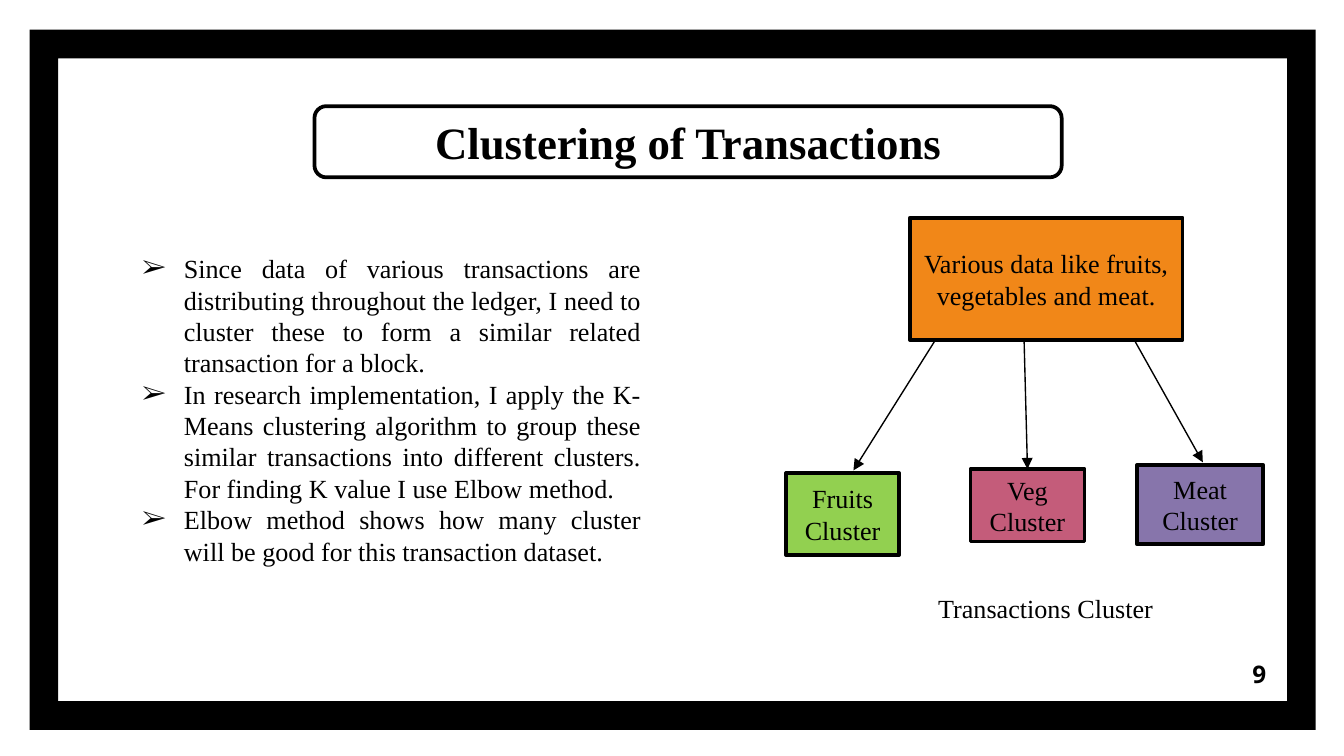
from dataclasses import dataclass

from lxml import etree
from pptx import Presentation
from pptx.dml.color import RGBColor
from pptx.enum.shapes import MSO_CONNECTOR, MSO_SHAPE
from pptx.enum.text import MSO_ANCHOR, PP_ALIGN
from pptx.oxml.ns import qn
from pptx.util import Inches, Pt

FRAME, RECT, ROUND = MSO_SHAPE.FRAME, MSO_SHAPE.RECTANGLE, MSO_SHAPE.ROUNDED_RECTANGLE
STRAIGHT = MSO_CONNECTOR.STRAIGHT
TOP, MIDDLE = MSO_ANCHOR.TOP, MSO_ANCHOR.MIDDLE
CENTER, RIGHT, JUSTIFY = PP_ALIGN.CENTER, PP_ALIGN.RIGHT, PP_ALIGN.JUSTIFY
TOP_SIDE = 0
WIDTH = 10
HEIGHT = WIDTH * 9 / 16


@dataclass(frozen=True)
class Theme:
    ink: str = "000000"
    source: str = "F18718"
    fruit: str = "92D050"
    veg: str = "C45C7A"
    meat: str = "8775AB"
    font: str = "Times New Roman"
    number_font: str = "Open Sans"
    title: int = 24
    body: int = 14
    number: int = 13
    border: float = 2
    arrow: float = 0.75


@dataclass(frozen=True)
class Box:
    left: float
    top: float
    width: float
    height: float

    def place(self) -> tuple:
        return tuple(Inches(v) for v in (self.left, self.top, self.width, self.height))


@dataclass(frozen=True)
class Cluster:
    text: str
    color: str
    box: Box
    start: float  # where its arrow leaves the source box
    end: tuple | None = None  # arrow tip, if not the middle of the top side


THEME = Theme()
SOURCE = Box(6.77, 1.62, 2.03, 0.91)
CLUSTERS = (
    Cluster("Fruits Cluster", THEME.fruit, Box(5.85, 3.52, 0.84, 0.61), 6.96, (6.35, 3.5)),
    Cluster("Veg Cluster", THEME.veg, Box(7.22, 3.49, 0.85, 0.54), 7.62),
    Cluster("Meat Cluster", THEME.meat, Box(8.46, 3.46, 0.94, 0.59), 8.44, (8.95, 3.44)),
)
POINTS = (
    "Since data of various transactions are distributing throughout the ledger, "
    "I need to cluster these to form a similar related transaction for a block. ",
    "In research implementation, I apply the K-Means clustering algorithm to group "
    "these similar transactions into different clusters. "
    "For finding K value I use Elbow method.",
    "Elbow method shows how many cluster will be good for this transaction dataset. ",
)


def add_bullet(para, mark: str = "➢", indent: float = 0.31) -> None:
    props = para._p.get_or_add_pPr()
    props.set("marL", str(Inches(indent)))
    props.set("indent", str(-Inches(indent)))
    color = etree.SubElement(props, qn("a:buClr"))
    etree.SubElement(color, qn("a:srgbClr"), val=THEME.ink)
    etree.SubElement(props, qn("a:buFont"), typeface=THEME.font)
    etree.SubElement(props, qn("a:buChar"), char=mark)


def write(shape, *lines: str, size: float = THEME.body, font: str = THEME.font,
          bold: bool = False, align=CENTER, anchor=MIDDLE, bullet: bool = False) -> None:
    frame = shape.text_frame
    frame.word_wrap = True
    frame.vertical_anchor = anchor
    for i, line in enumerate(lines):
        para = frame.add_paragraph() if i else frame.paragraphs[0]
        para.alignment = align
        if bullet:
            add_bullet(para)
        run = para.add_run()
        run.text = line
        run.font.size = Pt(size)
        run.font.name = font
        run.font.bold = bold
        run.font.color.rgb = RGBColor.from_string(THEME.ink)


def add_box(slide, kind, box: Box, fill: str | None = None, border: bool = True):
    shape = slide.shapes.add_shape(kind, *box.place())
    shape.shadow.inherit = False
    if fill:
        shape.fill.solid()
        shape.fill.fore_color.rgb = RGBColor.from_string(fill)
    else:
        shape.fill.background()
    if border:
        shape.line.color.rgb = RGBColor.from_string(THEME.ink)
        shape.line.width = Pt(THEME.border)
    else:
        shape.line.fill.background()
    return shape


def add_label(slide, box: Box, *lines: str, **style) -> None:
    write(slide.shapes.add_textbox(*box.place()), *lines, **style)


def add_arrow(slide, start: tuple, end: tuple):
    points = [Inches(v) for v in (*start, *end)]
    arrow = slide.shapes.add_connector(STRAIGHT, *points)
    arrow.line.color.rgb = RGBColor.from_string(THEME.ink)
    arrow.line.width = Pt(THEME.arrow)
    etree.SubElement(arrow.line._get_or_add_ln(), qn("a:tailEnd"), type="triangle")
    etree.SubElement(arrow._element.spPr, qn("a:effectLst"))
    return arrow


def add_cluster(slide, item: Cluster) -> None:
    box = item.box
    shape = add_box(slide, RECT, box, item.color)
    write(shape, item.text)
    tip = item.end or (box.left + box.width / 2, box.top)
    arrow = add_arrow(slide, (item.start, SOURCE.top + SOURCE.height), tip)
    if item.end is None:
        arrow.end_connect(shape, TOP_SIDE)


def main() -> None:
    deck = Presentation()
    deck.slide_width, deck.slide_height = Inches(WIDTH), Inches(HEIGHT)
    slide = deck.slides.add_slide(deck.slide_layouts[6])

    frame = add_box(slide, FRAME, Box(0.22, 0.22, 9.57, 5.21), THEME.ink, border=False)
    frame.adjustments[0] = 0.041
    add_label(slide, Box(8.92, 4.8, 0.6, 0.43), "9", size=THEME.number,
              font=THEME.number_font, bold=True, align=RIGHT)
    title = add_box(slide, ROUND, Box(2.34, 0.79, 5.56, 0.53))
    write(title, "Clustering of Transactions", size=THEME.title, bold=True)
    add_label(slide, Box(0.96, 1.83, 3.91, 2.46), *POINTS,
              align=JUSTIFY, anchor=TOP, bullet=True)

    source = add_box(slide, RECT, SOURCE, THEME.source)
    write(source, "Various data like fruits, vegetables and meat.")
    for item in CLUSTERS:
        add_cluster(slide, item)
    add_label(slide, Box(6.62, 4.36, 2.32, 0.34), "Transactions Cluster", anchor=TOP)

    deck.save("out.pptx")


if __name__ == "__main__":
    main()
